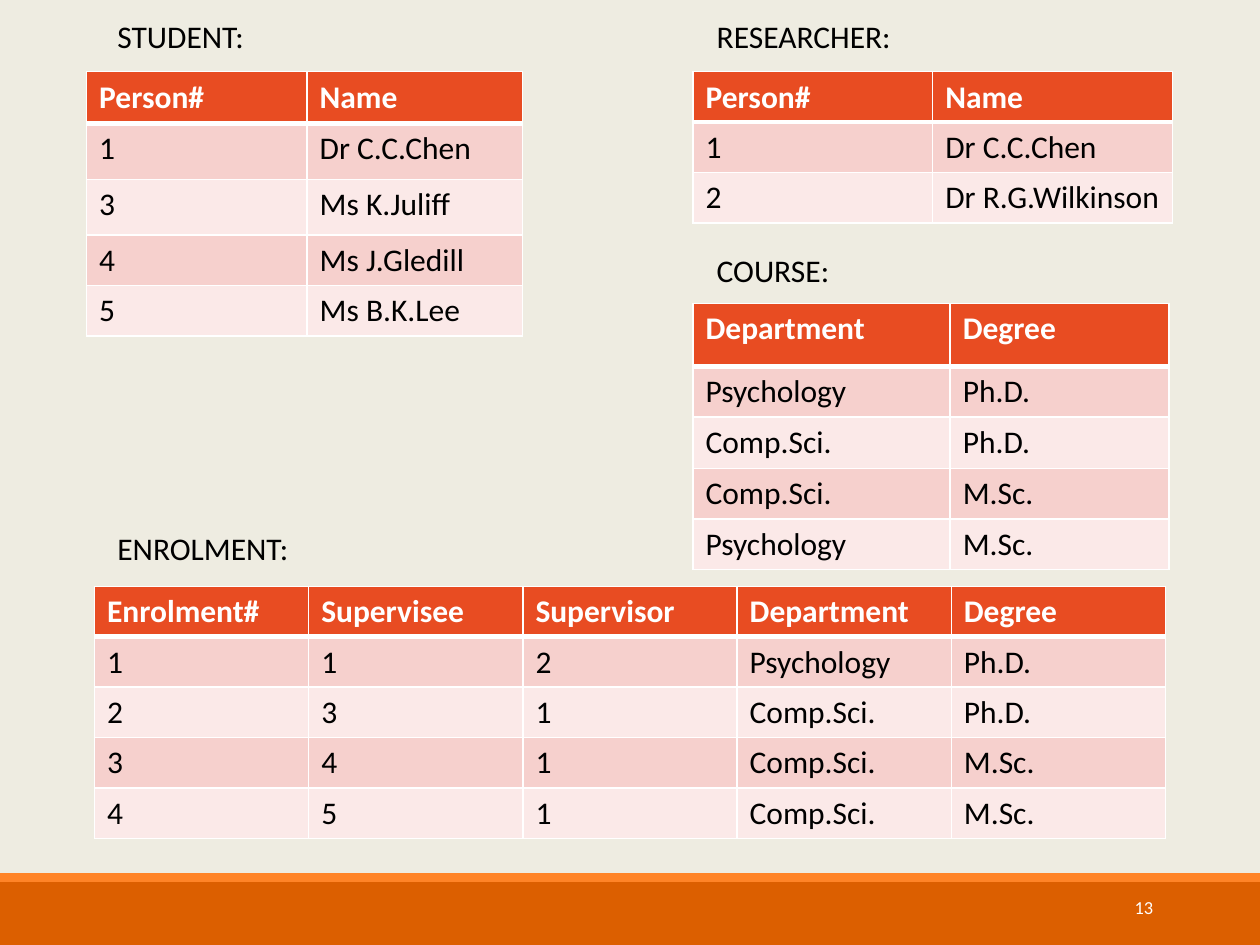
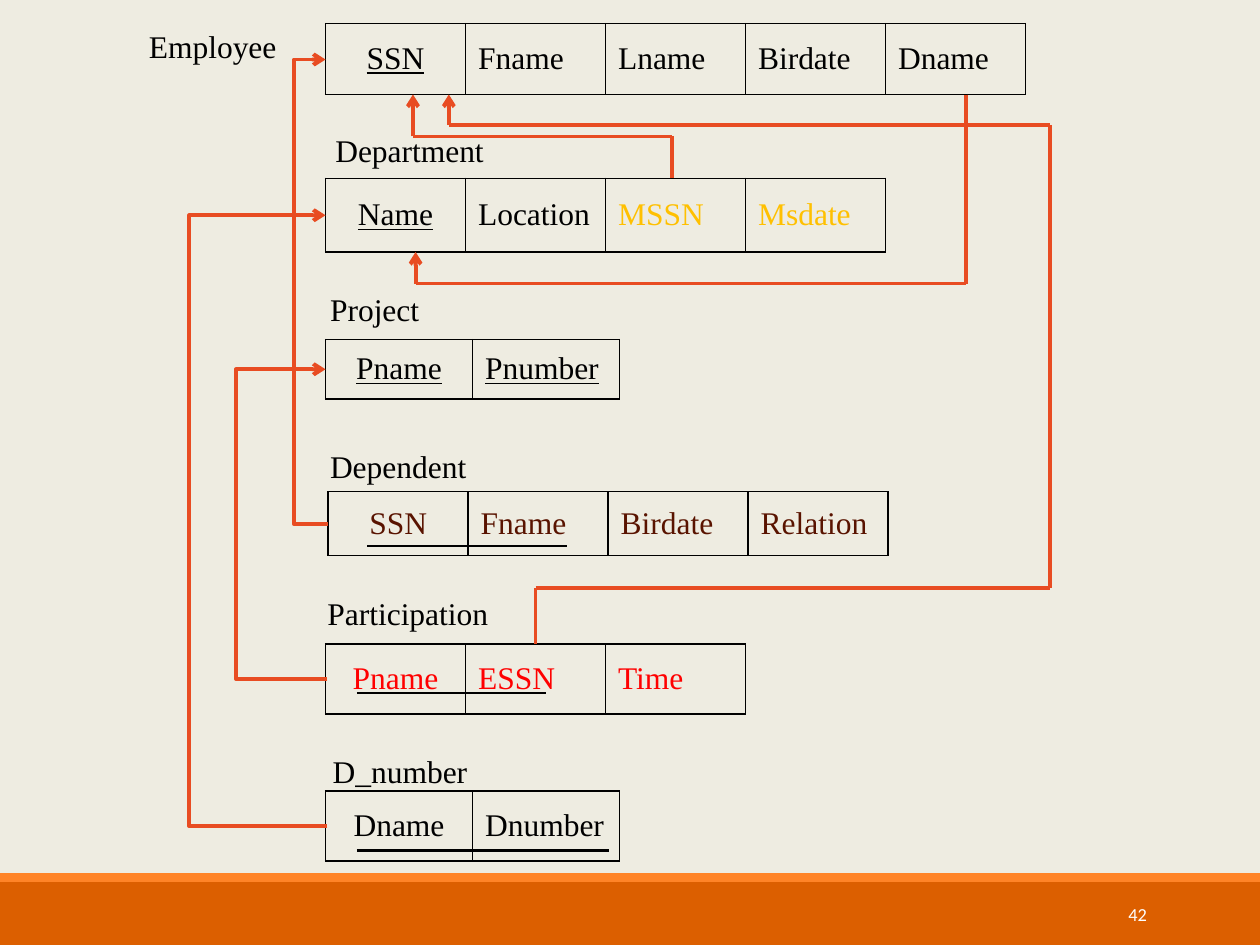
from itertools import pairwise

from lxml.etree import SubElement
from pptx import Presentation
from pptx.dml.color import RGBColor
from pptx.enum.shapes import MSO_CONNECTOR as Link, MSO_SHAPE as Preset
from pptx.enum.text import MSO_ANCHOR as Anchor, MSO_AUTO_SIZE as AutoSize, PP_ALIGN as Align
from pptx.oxml.ns import qn
from pptx.util import Pt

COLORS = {
    "page": "EEECE1", "band": "DC5F00", "stripe": "FF8427",
    "header": "E84C22", "odd": "F6D0CD", "even": "FBE9E8",
    "white": "FFFFFF", "black": "000000", "arrow": "E84C22",
    "gold": "FFC000", "brown": "591300", "red": "FF0000",
}
SANS, SERIF = "Calibri", "Times New Roman"


def rgb(name):
    return RGBColor.from_string(COLORS[name])


def write(frame, text, font=SANS, size=18, color="black", bold=False,
          underline=False, align=Align.LEFT):
    para = frame.paragraphs[0]
    para.alignment = align
    span = para.add_run()
    span.text = text
    span.font.name = font
    span.font.size = Pt(size)
    span.font.color.rgb = rgb(color)
    span.font.bold = bold
    span.font.underline = underline


def set_borders(cell, color, top=1, bottom=1):
    """Give a cell its four borders; call this before setting its fill."""
    props = cell._tc.get_or_add_tcPr()
    for side, width in (("L", 1), ("R", 1), ("T", top), ("B", bottom)):
        line = SubElement(props, qn(f"a:ln{side}"), w=str(Pt(width)))
        fill = SubElement(line, qn("a:solidFill"))
        SubElement(fill, qn("a:srgbClr"), val=COLORS[color])


class Builder:
    """Holds the deck's style and the current page."""

    def __init__(self):
        self.deck = Presentation()
        self.deck.slide_width, self.deck.slide_height = Pt(720), Pt(540)
        self.page = None

    def new_page(self, number, left, top):
        self.page = self.deck.slides.add_slide(self.deck.slide_layouts[6])
        background = self.page.background.fill
        background.solid()
        background.fore_color.rgb = rgb("page")
        self.band(504, 36, "band")
        self.band(499, 5, "stripe")
        box = self.text_box(left, top, 78)
        box.text_frame.vertical_anchor = Anchor.MIDDLE
        write(box.text_frame, number, size=10.5, color="white", align=Align.RIGHT)

    def band(self, top, height, color):
        shape = self.page.shapes.add_shape(Preset.RECTANGLE, 0, Pt(top), Pt(720), Pt(height))
        shape.shadow.inherit = False
        shape.fill.solid()
        shape.fill.fore_color.rgb = rgb(color)
        shape.line.fill.background()

    def text_box(self, left, top, width):
        box = self.page.shapes.add_textbox(Pt(left), Pt(top), Pt(width), Pt(29))
        box.text_frame.word_wrap = True
        return box

    def label(self, text, left, top, width, font=SANS):
        box = self.text_box(left, top, width)
        box.text_frame.auto_size = AutoSize.SHAPE_TO_FIT_TEXT
        write(box.text_frame, text, font=font)

    def grid(self, left, top, widths, heights):
        frame = self.page.shapes.add_table(
            len(heights), len(widths), Pt(left), Pt(top), Pt(sum(widths)), Pt(sum(heights)))
        table = frame.table
        table.first_row = table.horz_banding = False
        for column, width in zip(table.columns, widths):
            column.width = Pt(width)
        for row, height in zip(table.rows, heights):
            row.height = Pt(height)
        return table

    def data_table(self, left, top, widths, heights, rows):
        table = self.grid(left, top, widths, heights)
        for i, row in enumerate(rows):
            is_header = i == 0
            shade = "header" if is_header else "odd" if i % 2 else "even"
            for j, text in enumerate(row):
                cell = table.cell(i, j)
                set_borders(cell, "white", top=3 if i == 1 else 1, bottom=3 if is_header else 1)
                cell.fill.solid()
                cell.fill.fore_color.rgb = rgb(shade)
                write(cell.text_frame, text, bold=is_header,
                      color="white" if is_header else "black")

    def relation(self, left, top, width, height, fields, colors, keys):
        """One-row schema table whose first `keys` fields are underlined."""
        table = self.grid(left, top, [width] * len(fields), [height])
        for i, (text, color) in enumerate(zip(fields, colors)):
            cell = table.cell(0, i)
            set_borders(cell, "black")
            cell.fill.background()
            cell.vertical_anchor = Anchor.MIDDLE
            write(cell.text_frame, text, font=SERIF, color=color, underline=i < keys,
                  align=Align.LEFT if i else Align.CENTER)

    def connector(self, start, end, color="arrow", width=2.25, arrow=False, kind=Link.STRAIGHT):
        line = self.page.shapes.add_connector(kind, *map(Pt, start + end))
        line.line.color.rgb = rgb(color)
        line.line.width = Pt(width)
        props = line.element.spPr
        if arrow:
            SubElement(props.find(qn("a:ln")), qn("a:tailEnd"), type="arrow")
        SubElement(props, qn("a:effectLst"))
        return line

    def route(self, points, arrow_at=None):
        """Chain straight segments; arrow_at is the index of the pointed one."""
        for i, (start, end) in enumerate(pairwise(points)):
            self.connector(start, end, arrow=i == arrow_at)

    def elbow(self, start, end, turn):
        """Arrow from start up to end, bending left to x = turn."""
        line = self.connector(end, start, arrow=True, kind=Link.ELBOW)
        props = line.element.spPr
        props.find(qn("a:xfrm")).set("rot", str(180 * 60000))
        geometry = props.find(qn("a:prstGeom"))
        guides = geometry.find(qn("a:avLst"))
        if guides is None:
            guides = SubElement(geometry, qn("a:avLst"))
        bend = round((start[0] - turn) / (start[0] - end[0]) * 100000)
        SubElement(guides, qn("a:gd"), name="adj1", fmla=f"val {bend}")


def build_data_page(builder):
    builder.new_page("13", 588, 504)

    # Table titles
    for text, left, top in (("STUDENT:", 60, 6), ("RESEARCHER:", 402.5, 6),
                            ("COURSE:", 402.5, 140), ("ENROLMENT:", 60, 299)):
        builder.label(text, left, top, 216)

    # Tables
    row = 28.8
    builder.data_table(396, 41, [137, 137], [row] * 3, [
        ("Person#", "Name"),
        ("1", "Dr C.C.Chen"),
        ("2", "Dr R.G.Wilkinson"),
    ])
    builder.data_table(49.5, 41, [126, 123], [29.5, 32, 32, row, row], [
        ("Person#", "Name"),
        ("1", "Dr C.C.Chen"),
        ("3", "Ms K.Juliff"),
        ("4", "Ms J.Gledill"),
        ("5", "Ms B.K.Lee"),
    ])
    builder.data_table(396, 173.5, [147, 125], [36, row, 29.5, row, row], [
        ("Department", "Degree"),
        ("Psychology", "Ph.D."),
        ("Comp.Sci.", "Ph.D."),
        ("Comp.Sci.", "M.Sc."),
        ("Psychology", "M.Sc."),
    ])
    builder.data_table(54, 335, [122.4] * 5, [row] * 5, [
        ("Enrolment#", "Supervisee", "Supervisor", "Department", "Degree"),
        ("1", "1", "2", "Psychology", "Ph.D."),
        ("2", "3", "1", "Comp.Sci.", "Ph.D."),
        ("3", "4", "1", "Comp.Sci.", "M.Sc."),
        ("4", "5", "1", "Comp.Sci.", "M.Sc."),
    ])


def build_schema_page(builder):
    builder.new_page("42", 584.5, 508)
    left = 186

    # Relations
    black = ["black"]
    builder.relation(left, 13.5, 80, 40.5,
                     ["SSN", "Fname", "Lname", "Birdate", "Dname"], black * 5, 1)
    builder.relation(left, 102, 80, 42, ["Name", "Location", "MSSN", "Msdate"],
                     black * 2 + ["gold"] * 2, 1)
    builder.relation(left, 194, 84, 34, ["Pname", "Pnumber"], black * 2, 2)
    builder.relation(left + 1.5, 281, 80, 36.5,
                     ["SSN", "Fname", "Birdate", "Relation"], ["brown"] * 4, 0)
    builder.relation(left, 368, 80, 40, ["Pname", "ESSN", "Time"], ["red"] * 3, 0)
    builder.relation(left, 452, 84, 40, ["Dname", "Dnumber"], black * 2, 0)

    # Composite key underlines
    for x1, x2, y in ((210, 324, 312), (204, 312, 396), (204, 348, 486)):
        builder.connector((x1, y), (x2, y), color="black", width=1.5)

    # Relation names
    for text, x, y, width in (
            ("Employee", 78, 12, 102), ("Department", 184.5, 71.5, 112),
            ("Project", 181.5, 162, 112), ("Dependent", 181.5, 252, 112),
            ("Participation", 180, 336, 112), ("D_number", 183, 426, 112)):
        builder.label(text, x, y, width, font=SERIF)

    # Foreign keys on the left
    for start_x, start_y, end_y, turn in ((187, 472, 123, 107.5), (187, 388, 211, 134.5),
                                          (187.5, 299.5, 34, 168)):
        builder.elbow((start_x, start_y), (left, end_y), turn)

    # Foreign keys between the relations
    builder.route([(384, 102), (384, 78), (236, 78), (236, 54)], arrow_at=2)
    builder.route([(306, 368), (306, 336), (600, 336), (600, 71.5), (256.5, 71.5),
                   (256.5, 54)], arrow_at=4)
    builder.route([(552, 54), (552, 162), (237.5, 162), (237.5, 144)], arrow_at=2)


def main():
    builder = Builder()
    build_data_page(builder)
    build_schema_page(builder)
    builder.deck.save("out.pptx")


if __name__ == "__main__":
    main()
